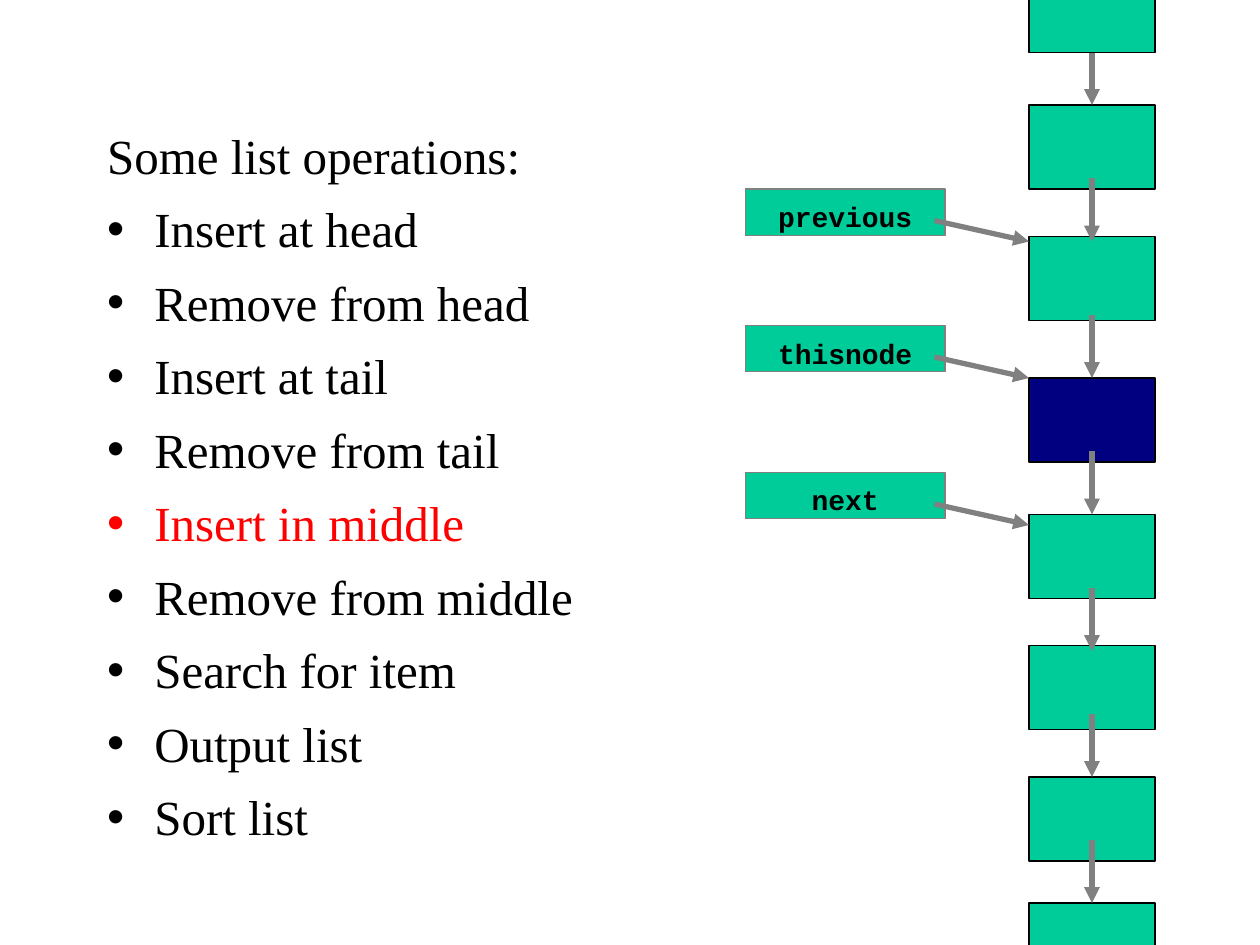
from lxml.etree import SubElement
from pptx import Presentation
from pptx.dml.color import RGBColor as Color
from pptx.enum.shapes import MSO_CONNECTOR as Connector, MSO_SHAPE as Preset
from pptx.enum.text import MSO_ANCHOR as Anchor, MSO_AUTO_SIZE as AutoSize, PP_ALIGN as Align
from pptx.oxml.ns import qn
from pptx.util import Pt

COLOURS = {"node": "00CC99", "current": "000080", "arrow": "808080",
           "text": "000000", "highlight": "FF0000"}
OPERATIONS = ["Insert at head", "Remove from head", "Insert at tail", "Remove from tail",
              "Insert in middle", "Remove from middle", "Search for item", "Output list",
              "Sort list"]
NODE_LEFT, NODE_WIDTH, NODE_HEIGHT = 588, 72, 48
NODE_TOPS = [-18, 60, 135, 216, 294, 369, 444, 516]
LINK_ENDS = [60, 138, 216, 294, 372, 444, 516]
LINK_LENGTH = 36
CURRENT_TOP = 216
POINTERS = {"previous": 108, "thisnode": 186, "next": 270}


def colour(name):
    """Return the named colour."""
    return Color.from_string(COLOURS[name])


def add_text(para, text, *, size, font, ink="text", bold=False, align=Align.LEFT, before=0):
    """Write formatted text into a paragraph."""
    para.alignment = align
    para.space_before = Pt(before)
    span = para.add_run()
    span.text = text
    span.font.size = Pt(size)
    span.font.name = font
    span.font.bold = bold
    span.font.color.rgb = colour(ink)


def set_bullet(para, ink=None):
    """Give a paragraph a hanging indent and a bullet, or no bullet without ink."""
    properties = para._p.get_or_add_pPr()
    properties.set("marL", str(Pt(27)))
    properties.set("indent", str(-Pt(27)))
    if ink is None:
        SubElement(properties, qn("a:buNone"))
        return
    tint = SubElement(properties, qn("a:buClr"))
    SubElement(tint, qn("a:srgbClr"), val=COLOURS[ink])
    SubElement(properties, qn("a:buChar"), char="•")


def add_box(page, left, top, width, height, fill, line):
    """Add a filled rectangle with a thin outline."""
    box = page.shapes.add_shape(Preset.RECTANGLE, Pt(left), Pt(top), Pt(width), Pt(height))
    box.shadow.inherit = False
    box.fill.solid()
    box.fill.fore_color.rgb = colour(fill)
    box.line.color.rgb = colour(line)
    box.line.width = Pt(0.75)
    return box


def add_node(page, top):
    """Add one node of the linked list."""
    fill = "current" if top == CURRENT_TOP else "node"
    return add_box(page, NODE_LEFT, top, NODE_WIDTH, NODE_HEIGHT, fill, "text")


def add_arrow(page, start, end):
    """Add a thick arrow between two points."""
    arrow = page.shapes.add_connector(Connector.STRAIGHT, *map(Pt, start + end))
    arrow.line.color.rgb = colour("arrow")
    arrow.line.width = Pt(3)
    SubElement(arrow.line._get_or_add_ln(), qn("a:tailEnd"), type="triangle")
    SubElement(arrow._element.spPr, qn("a:effectLst"))
    return arrow


def add_pointer(page, name, top):
    """Add a named pointer box and its arrow to the list."""
    box = add_box(page, 426, top, 114, 26.5, "node", "arrow")
    frame = box.text_frame
    frame.word_wrap = True
    frame.vertical_anchor = Anchor.TOP
    frame.margin_top, frame.margin_bottom = Pt(6), Pt(2)
    add_text(frame.paragraphs[0], name, size=16, font="Courier New", bold=True,
             align=Align.CENTER)
    add_arrow(page, (534, top + 18), (NODE_LEFT, top + 30))


def add_linked_list(page):
    """Add the column of nodes and the links between them."""
    nodes = [add_node(page, top) for top in NODE_TOPS[1:]]
    centre = NODE_LEFT + NODE_WIDTH / 2
    for node, top, end in zip(nodes, NODE_TOPS[1:], LINK_ENDS):
        arrow = add_arrow(page, (centre, end - LINK_LENGTH), (centre, end))
        if end == top:
            arrow.end_connect(node, 0)
    add_node(page, NODE_TOPS[0])


def add_operations(page):
    """Fill the body placeholder with the list of operations."""
    body = page.placeholders[1]
    body.left, body.top, body.width, body.height = Pt(54), Pt(68), Pt(300), Pt(402)
    frame = body.text_frame
    frame.word_wrap = True
    frame.auto_size = AutoSize.NONE
    frame.vertical_anchor = Anchor.TOP
    style = {"size": 28, "font": "Times New Roman"}
    heading = frame.paragraphs[0]
    set_bullet(heading)
    add_text(heading, "Some list operations:", **style)
    for operation in OPERATIONS:
        ink = "highlight" if operation == "Insert in middle" else "text"
        para = frame.add_paragraph()
        set_bullet(para, ink)
        add_text(para, operation, ink=ink, before=8.4, **style)


def main():
    """Build the slide and save it."""
    deck = Presentation()
    deck.slide_width, deck.slide_height = Pt(720), Pt(540)
    page = deck.slides.add_slide(deck.slide_layouts[1])
    title = page.shapes.title._element
    title.getparent().remove(title)
    add_operations(page)
    add_linked_list(page)
    for name, top in POINTERS.items():
        add_pointer(page, name, top)
    deck.save("out.pptx")


if __name__ == "__main__":
    main()
